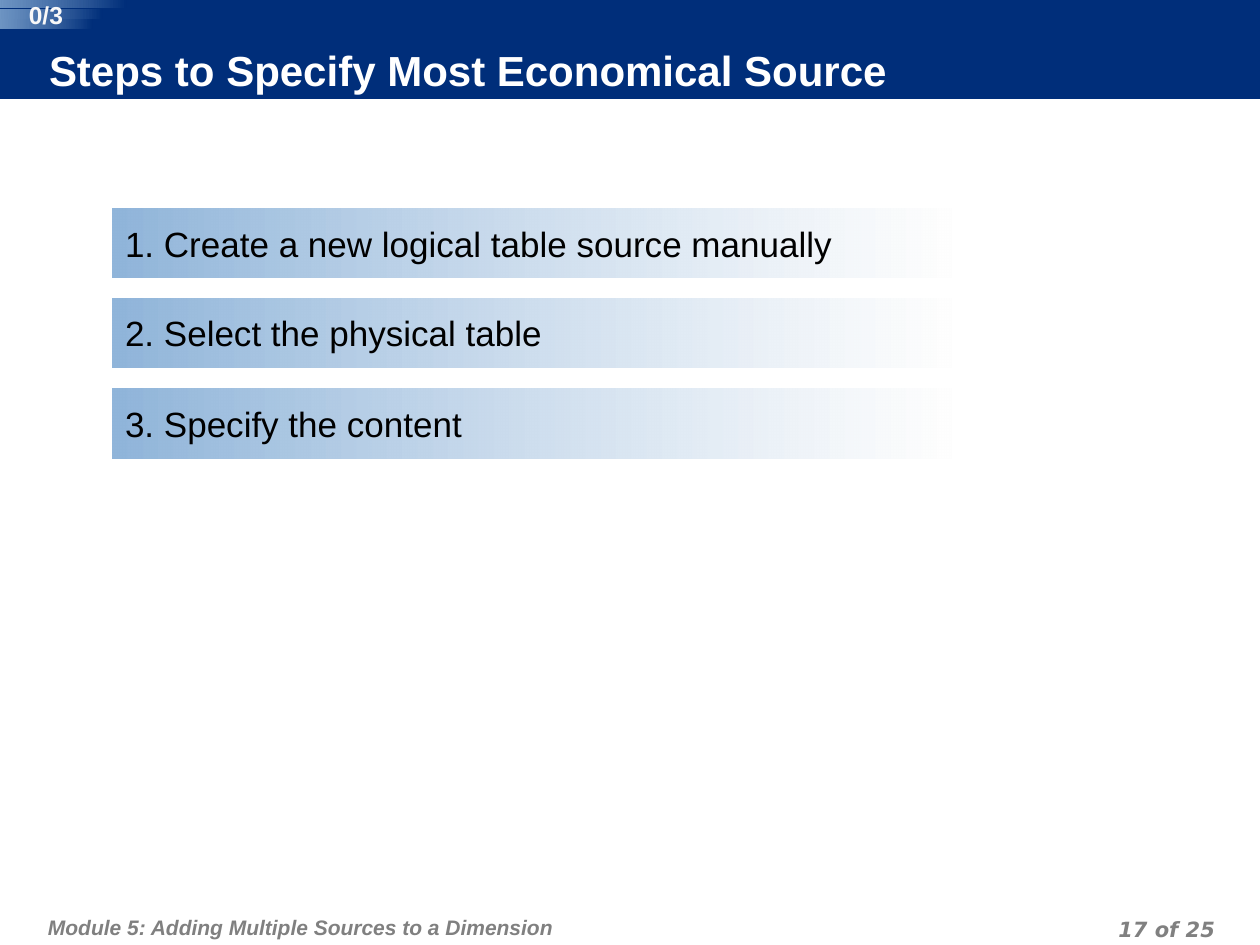
import pptx
import pptx.dml.color
import pptx.enum.shapes
import pptx.enum.text
import pptx.oxml
import pptx.oxml.ns
import pptx.util

RGBColor = pptx.dml.color.RGBColor
Align = pptx.enum.text.PP_ALIGN
Anchor = pptx.enum.text.MSO_ANCHOR

NAVY = RGBColor(0x00, 0x2E, 0x7A)
SKY = RGBColor(0x90, 0xB5, 0xDA)
PALE = RGBColor(0xFE, 0xFE, 0xFE)
WHITE = RGBColor(0xFF, 0xFF, 0xFF)
COUNTER = RGBColor(0xF8, 0xF8, 0xF8)
BLACK = RGBColor(0x00, 0x00, 0x00)
GRAY = RGBColor(0x80, 0x80, 0x80)

PIXELS_PER_INCH = 126


def px(length):
    return pptx.util.Emu(round(length * 914400 / PIXELS_PER_INCH))


class SlideBuilder:
    font_name = "Arial"

    def __init__(self, presentation):
        self.slide = presentation.slides.add_slide(presentation.slide_layouts[5])

    def set_text(self, shape, text, size, color, margins, bold=False, italic=False,
                 align=Align.LEFT, anchor=Anchor.TOP, font_name=None, leading=None):
        frame = shape.text_frame
        frame.text = text
        frame.word_wrap = True
        frame.auto_size = pptx.enum.text.MSO_AUTO_SIZE.NONE
        frame.vertical_anchor = anchor
        (frame.margin_left, frame.margin_top,
         frame.margin_right, frame.margin_bottom) = map(px, margins)
        paragraph = frame.paragraphs[0]
        paragraph.alignment = align
        if leading:
            paragraph.line_spacing = pptx.util.Pt(leading)
        font = paragraph.runs[0].font
        font.name = font_name or self.font_name
        font.size = pptx.util.Pt(size)
        font.bold = bold
        font.italic = italic
        font.color.rgb = color

    def text(self, box, text, size, color, margins, parent=None, **style):
        shapes = (parent or self.slide).shapes
        shape = shapes.add_textbox(*map(px, box))
        self.set_text(shape, text, size, color, margins, **style)

    def title(self, box, text):
        shape = self.slide.shapes.title
        self.slide.shapes._spTree.append(shape._element)
        shape.left, shape.top, shape.width, shape.height = map(px, box)
        shape.fill.solid()
        shape.fill.fore_color.rgb = NAVY
        self.set_text(shape, text, 24, WHITE, (0, 0, 6, 6),
                      bold=True, anchor=Anchor.MIDDLE)

    def band(self, box, color):
        shape = self.slide.shapes.add_shape(
            pptx.enum.shapes.MSO_SHAPE.RECTANGLE, *map(px, box))
        shape.shadow.inherit = False
        shape.fill.solid()
        shape.fill.fore_color.rgb = color
        shape.line.fill.background()

    def gradient_bar(self, box, stops, parent=None):
        shapes = (parent or self.slide).shapes
        shape = shapes.add_shape(
            pptx.enum.shapes.MSO_SHAPE.ROUNDED_RECTANGLE, *map(px, box))
        shape.adjustments[0] = 0
        shape.shadow.inherit = False
        shape.line.fill.background()
        shape.fill.gradient()
        shape.fill.gradient_angle = 180
        for stop, (color, _) in zip(shape.fill.gradient_stops, stops):
            stop.color.rgb = color
        fill = shape._element.spPr.find(pptx.oxml.ns.qn("a:gradFill"))
        elements = fill.iter(pptx.oxml.ns.qn("a:srgbClr"))
        for element, (_, opacity) in zip(elements, stops):
            if opacity < 100:
                alpha = pptx.oxml.parse_xml(
                    f'<a:alpha {pptx.oxml.ns.nsdecls("a")} val="{opacity * 1000}"/>')
                element.append(alpha)
        return shape

    def step(self, box, text):
        shape = self.gradient_bar(box, ((PALE, 75), (SKY, 100)))
        self.set_text(shape, text, 20, BLACK, (13, 13, 13, 6))

    def counter(self, text):
        group = self.slide.shapes.add_group_shape()
        for row, (width, height) in enumerate(((127, 8), (103, 8), (92, 9))):
            self.gradient_bar((0, row * 10, width, height),
                              ((NAVY, 100), (SKY, 76)), group)
        self.text((14, 0, 64, 29), text, 14, COUNTER, (0, 0, 0, 0),
                  parent=group, bold=True, align=Align.CENTER)


def main():
    presentation = pptx.Presentation()
    presentation.slide_width = px(1260)
    presentation.slide_height = px(945)
    builder = SlideBuilder(presentation)

    builder.band((0, 0, 1260, 99), NAVY)
    footer = {"bold": True, "italic": True, "leading": 18}
    builder.text((42, 895, 779, 50), "Module 5: Adding Multiple Sources to a Dimension",
                 12, GRAY, (6, 13, 6, 6), **footer)
    builder.text((927, 910, 294, 31), "17 of 25", 12, GRAY, (6, 0, 6, 0),
                 align=Align.RIGHT, font_name="DejaVu Sans", **footer)
    builder.title((49, 48, 992, 50), "Steps to Specify Most Economical Source")

    steps = ("Create a new logical table source manually",
             "Select the physical table",
             "Specify the content")
    for index, text in enumerate(steps):
        builder.step((112, 209 + 90 * index, 839, 69), f"{index + 1}. {text}")
    builder.counter("0/3")

    presentation.save("out.pptx")


if __name__ == "__main__":
    main()
